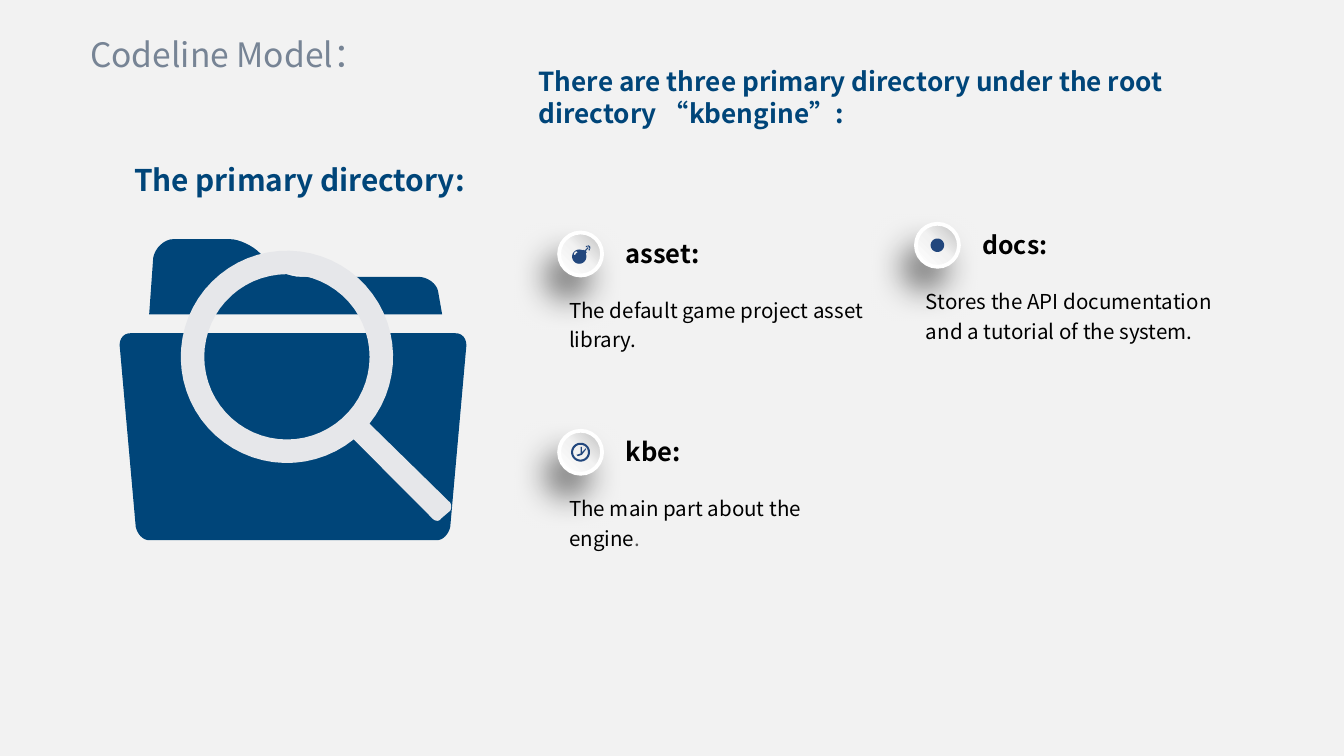
from dataclasses import dataclass
from math import cos, radians, sin
from typing import NamedTuple

from lxml.etree import SubElement
from pptx import Presentation
from pptx.dml.color import RGBColor
from pptx.enum.shapes import MSO_SHAPE as Shp
from pptx.enum.text import MSO_ANCHOR as Anchor, MSO_AUTO_SIZE as Fit, PP_ALIGN as Align
from pptx.oxml import parse_xml
from pptx.oxml.ns import nsdecls, qn
from pptx.util import Inches, Pt

COLS, ROWS = 100, 56.25
CELL = Inches(0.1)
FONT = "Noto Sans CJK SC"
NAVY, ICON, SILVER = "004579", "22477D", "E6E7EA"
WHITE, BLACK, GREY, SLATE = "FFFFFF", "000000", "595959", "778495"
STOPS = ((0, "BFBFBF"), (50, "F2F2F2"), (100, WHITE))
BADGE = 3.2

Point = tuple[float, float]
Contour = list[Point]


class Box(NamedTuple):
    col: float
    row: float
    cols: float
    rows: float


class Run(NamedTuple):
    text: str
    size: float
    color: str
    bold: bool = False


@dataclass
class Directory:
    col: float
    row: float
    label: Run
    runs: list[Run]
    cols: float
    icon: list[Contour]


def rgb(value: str) -> RGBColor:
    return RGBColor.from_string(value)


def emu(cells: float) -> int:
    return round(cells * CELL)


def arc(x: float, y: float, radius: float, start: float = 0, end: float = 360) -> Contour:
    steps = 60
    angles = [radians(start + (end - start) * i / steps) for i in range(steps + 1)]
    return [(x + radius * cos(a), y + radius * sin(a)) for a in angles]


def trace(*nodes: tuple[float, ...]) -> Contour:
    """Flatten nodes: two numbers are a line's end, six a cubic curve."""
    points: Contour = []
    for node in nodes:
        if len(node) == 2:
            points.append(node)
            continue
        p0, p1, p2, p3 = points[-1], node[:2], node[2:4], node[4:]
        for t in (i / 8 for i in range(1, 9)):
            u = 1 - t
            weights = (u ** 3, 3 * u * u * t, 3 * u * t * t, t ** 3)
            points.append(tuple(sum(w * p[axis] for w, p in zip(weights, (p0, p1, p2, p3)))
                                for axis in (0, 1)))
    return points


def square(x: float, y: float, side: float) -> Contour:
    return [(x, y), (x + side, y), (x + side, y + side), (x, y + side)]


def draw_outline(slide, contours: list[Contour], color: str,
                 origin: Point = (0, 0), scale: float = 1) -> None:
    paths = [[(emu(origin[0] + x * scale), emu(origin[1] + y * scale)) for x, y in c]
             for c in contours]
    builder = slide.shapes.build_freeform(*paths[0][0], scale=1.0)
    builder.add_line_segments(paths[0][1:], close=True)
    for path in paths[1:]:
        builder.move_to(*path[0])
        builder.add_line_segments(path[1:], close=True)
    sp = builder.convert_to_shape()
    sp.shadow.inherit = False
    sp.fill.solid()
    sp.fill.fore_color.rgb = rgb(color)
    sp.line.fill.background()


def write(sp, box: Box, runs: list[Run], align=Align.LEFT, spacing: float = 1.0, **frame) -> None:
    sp.left, sp.top, sp.width, sp.height = map(emu, box)
    tf = sp.text_frame
    for name, value in ({"word_wrap": True, "auto_size": Fit.NONE} | frame).items():
        setattr(tf, name, value)
    p = tf.paragraphs[0]
    p.alignment, p.line_spacing = align, spacing
    for run in runs:
        r = p.add_run()
        r.text = run.text
        fmt = {"name": FONT, "size": Pt(run.size), "bold": run.bold}
        for name, value in fmt.items():
            setattr(r.font, name, value)
        r.font.color.rgb = rgb(run.color)
        SubElement(r.font._element, qn("a:ea")).set("typeface", FONT)


def add_text(slide, box: Box, runs: list[Run], **fmt) -> None:
    write(slide.shapes.add_textbox(0, 0, 0, 0), box, runs, **fmt)


def margins(x: float, y: float) -> dict[str, int]:
    return {"margin_left": Inches(x), "margin_right": Inches(x),
            "margin_top": Inches(y), "margin_bottom": Inches(y)}


def draw_badge(slide, col: float, row: float) -> None:
    sp = slide.shapes.add_shape(Shp.OVAL, emu(col - BADGE / 2), emu(row - BADGE / 2),
                                emu(BADGE), emu(BADGE))
    sp.line.color.rgb = rgb(WHITE)
    sp.line.width = Pt(2)
    sp.shadow.inherit = False
    props = sp._element.spPr
    stops = "".join(f'<a:gs pos="{pos * 1000}"><a:srgbClr val="{color}"/></a:gs>'
                    for pos, color in STOPS)
    props.insert(2, parse_xml(f'<a:gradFill {nsdecls("a")}><a:gsLst>{stops}</a:gsLst>'
                              f'<a:lin ang="{135 * 60000}" scaled="0"/></a:gradFill>'))
    props.find(qn("a:effectLst")).append(parse_xml(
        f'<a:outerShdw {nsdecls("a")} blurRad="{Pt(17)}" dist="{Pt(14)}" '
        f'dir="{120 * 60000}" algn="ctr" rotWithShape="0"><a:srgbClr val="0D0D0D">'
        '<a:alpha val="50000"/></a:srgbClr></a:outerShdw>'))


def draw_directory(slide, item: Directory) -> None:
    inset = margins(0.03, 0.03)
    add_text(slide, Box(item.col - 1.15, item.row + 2.6, item.cols, 3.6), item.runs,
             spacing=1.2, **inset)
    add_text(slide, Box(item.col + 3.05, item.row - 1.6, 11.5, 3.1), [item.label],
             vertical_anchor=Anchor.MIDDLE, **inset | {"word_wrap": False})
    draw_badge(slide, item.col, item.row)
    draw_outline(slide, item.icon, ICON, (item.col, item.row), 0.1)


BOMB = [arc(-1, 2, 5.3, -25, 295) + [(2, -3), (3.2, -2.6), (5.4, -5), (6, -4.5), (3.8, -2.1),
                                     (4.6, -1.3)],
        trace((-3, -2), (-4, -2, -5, -1, -5, 0), (-5, 1, -4, 1, -4, 1), (-4, 0, -3, -1, -2, -1)),
        *(square(x, y, 0.9) for x, y in ((4, -6), (5.2, -6.4), (6.2, -6), (6.4, -4.8), (6, -3.6)))]
CLOCK = [arc(0, 0, 7), arc(0, 0, 5.5),
         [(1, 0), (1, -4), (0, -4), (0, 1), (-3, 2), (-2, 3), (1, 2), (4, -2), (4, -3)]]
DOT = [arc(0, 0, 5)]

FOLDER = [
    trace((33.9, 24.8), (9.7, 24.8), (9.2, 24.8, 8.9, 25.2, 8.9, 25.7), (10.1, 39.2),
          (10.2, 39.7, 10.6, 40.2, 11.1, 40.2), (32.5, 40.2),
          (33, 40.2, 33.4, 39.7, 33.5, 39.2), (34.7, 25.7), (34.7, 25.2, 34.4, 24.8, 33.9, 24.8)),
    trace((32.6, 21.7), (32.5, 21.1, 31.8, 20.6, 31.1, 20.6), (22.3, 20.6),
          (21.6, 20.6, 20.6, 20.2, 20.1, 19.6), (19.3, 18.8),
          (18.8, 18.3, 17.8, 17.8, 17.1, 17.8), (12.9, 17.8),
          (12.2, 17.8, 11.5, 18.5, 11.4, 19.2), (11.1, 23.4), (32.9, 23.4))]
LENS = (21.35, 26.55)
MAGNIFIER = [
    arc(*LENS, 7.9, 51, 399) + trace(
        (33.5, 37.4), (33.6, 37.6, 33.6, 37.8, 33.5, 38), (32.8, 38.6),
        (32.7, 38.8, 32.4, 38.8, 32.2, 38.6)),
    arc(*LENS, 6.15)]

DIRECTORIES = [
    Directory(43.2, 18.9, Run("asset:", 13.7, BLACK, True),
              [Run("The default game project asset library.", 11, BLACK)], 22.9, BOMB),
    Directory(43.2, 33.65, Run("kbe:", 13.7, BLACK, True),
              [Run("The main part about the engine", 11, BLACK), Run(".", 11, GREY)], 22.9, CLOCK),
    Directory(69.75, 18.25, Run("docs:", 13.3, BLACK, True),
              [Run("Stores the API documentation and a tutorial of the system.", 11, BLACK)],
              23.5, DOT)]


def main() -> None:
    prs = Presentation()
    prs.slide_width, prs.slide_height = emu(COLS), emu(ROWS)
    s = prs.slides.add_slide(prs.slide_layouts[5])
    s.background.fill.solid()
    s.background.fill.fore_color.rgb = rgb("F2F2F2")
    for item in DIRECTORIES:
        draw_directory(s, item)
    draw_outline(s, FOLDER, NAVY)
    draw_outline(s, MAGNIFIER, SILVER)
    write(s.shapes.title, Box(6.7, 1.9, 23.3, 4.2), [Run("Codeline Model：", 18, SLATE)],
          vertical_anchor=Anchor.MIDDLE, **margins(0, 0.05))
    add_text(s, Box(39.1, 4.4, 56.6, 5.7), [Run(
        "There are three primary directory under the root directory “kbengine”:", 14, NAVY, True)],
        auto_size=Fit.SHAPE_TO_FIT_TEXT)
    add_text(s, Box(7.9, 12, 27.5, 2.5), [Run("The primary directory:", 16, NAVY, True)],
             align=Align.RIGHT, **margins(0.08, 0) | {"word_wrap": False})
    prs.save("out.pptx")


if __name__ == "__main__":
    main()
